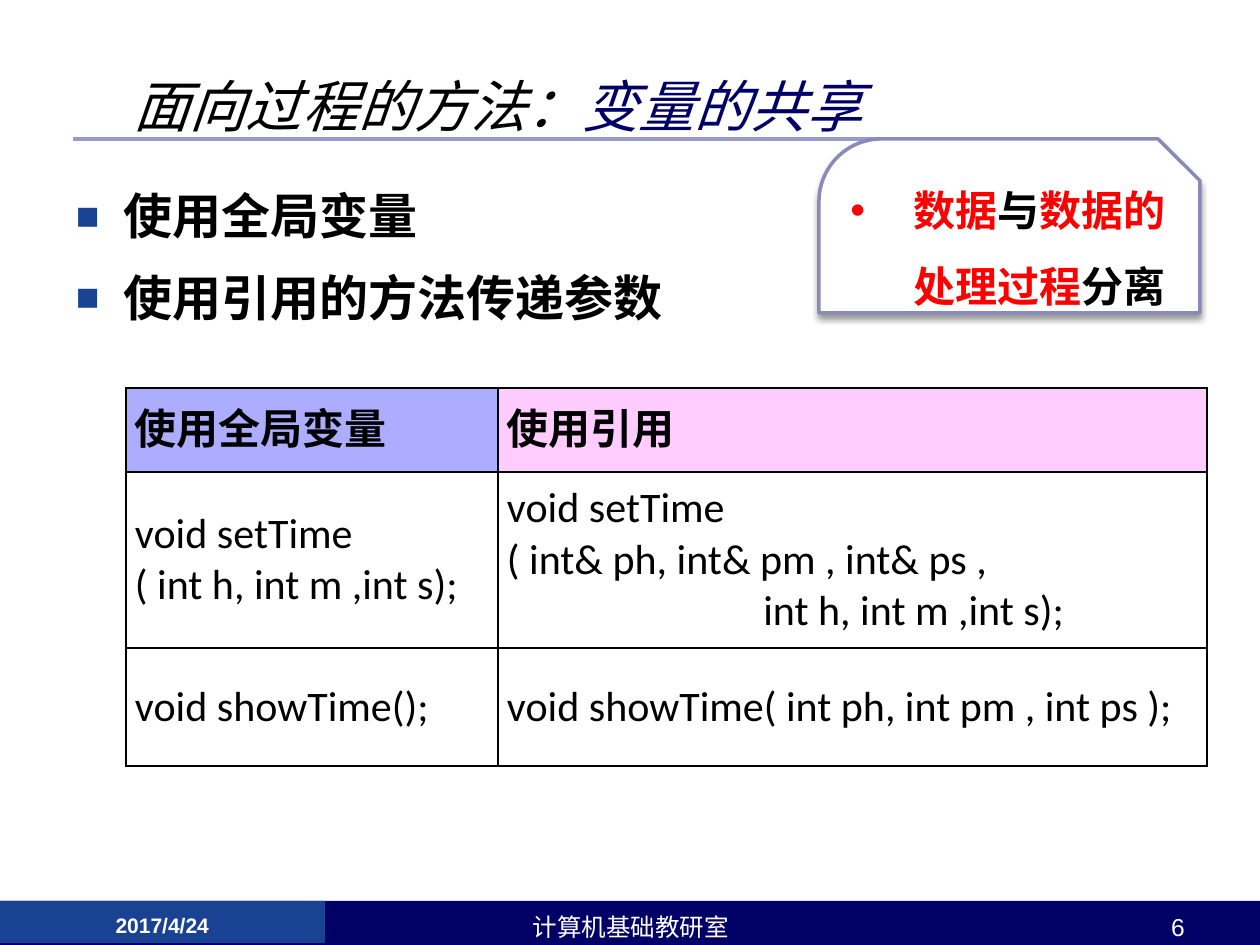
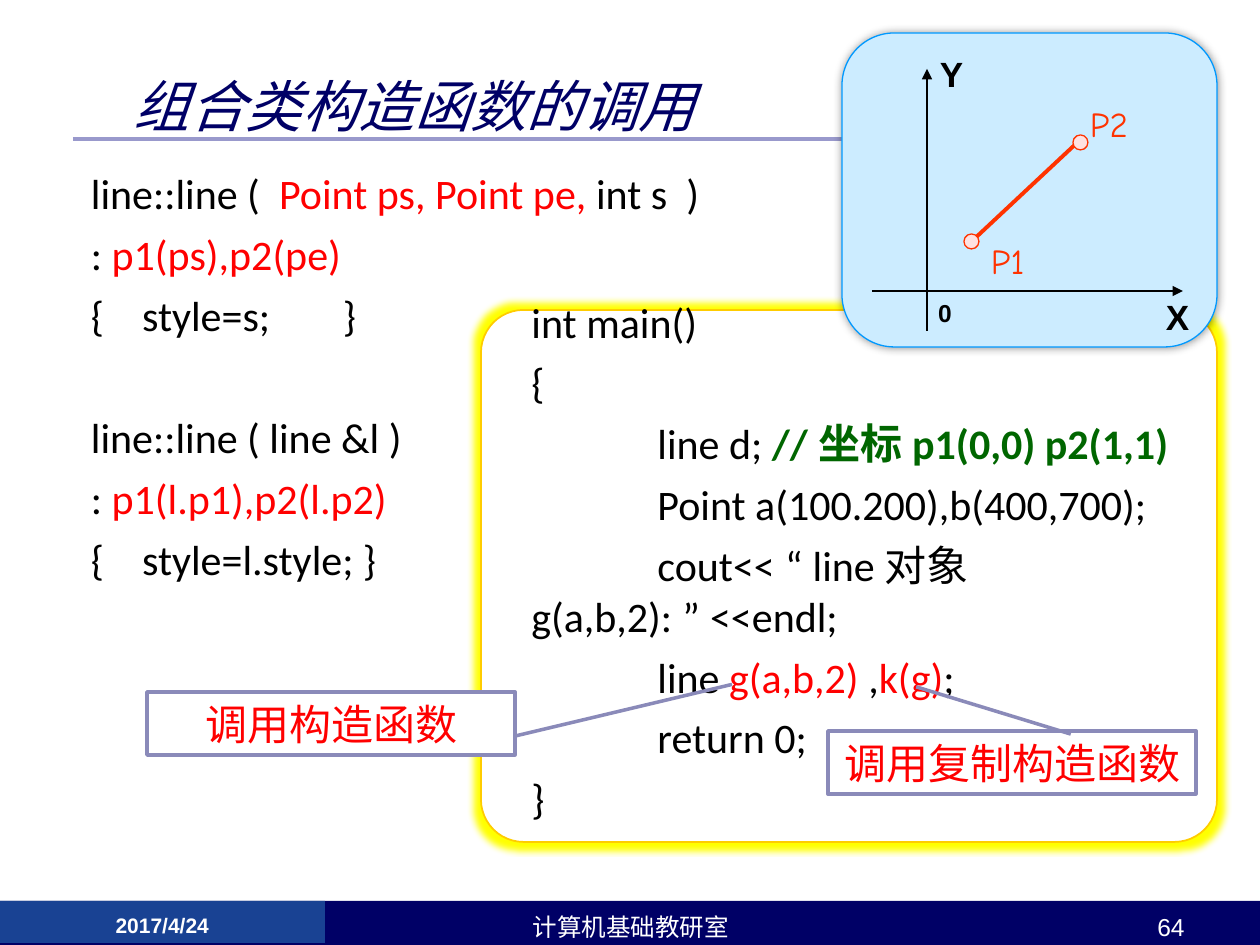
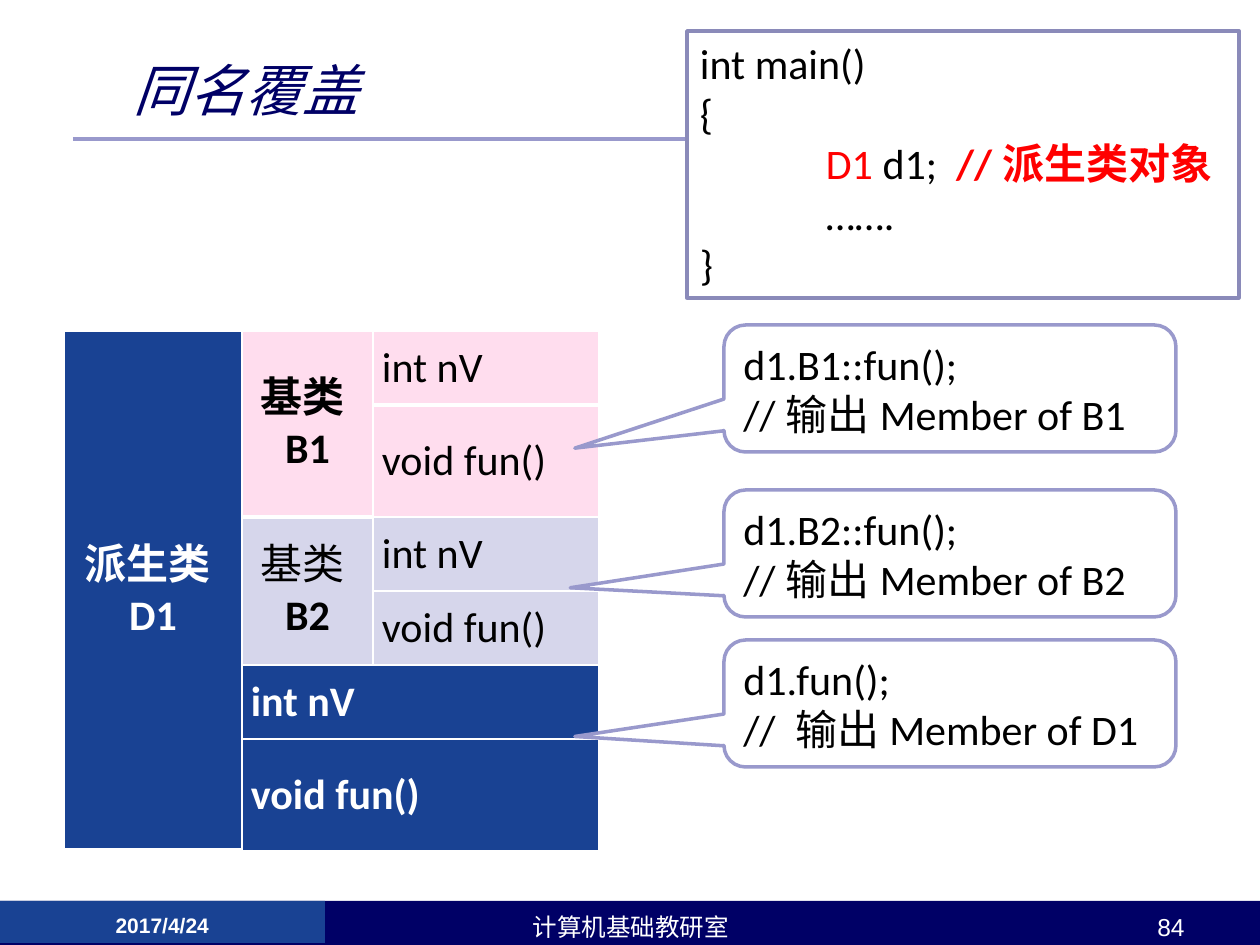
from lxml import etree
from pptx import Presentation
from pptx.dml.color import RGBColor
from pptx.enum.shapes import MSO_CONNECTOR, MSO_SHAPE
from pptx.enum.text import MSO_ANCHOR, PP_ALIGN
from pptx.oxml.ns import qn
from pptx.util import Emu, Pt

LEFT, CENTER, RIGHT = PP_ALIGN.LEFT, PP_ALIGN.CENTER, PP_ALIGN.RIGHT
TOP, MIDDLE, BOTTOM = MSO_ANCHOR.TOP, MSO_ANCHOR.MIDDLE, MSO_ANCHOR.BOTTOM
STRAIGHT = MSO_CONNECTOR.STRAIGHT
RECTANGLE, ROUNDED, OVAL = MSO_SHAPE.RECTANGLE, MSO_SHAPE.ROUNDED_RECTANGLE, MSO_SHAPE.OVAL
SNIP_ROUND, PANEL = MSO_SHAPE.SNIP_ROUND_RECTANGLE, MSO_SHAPE.FLOWCHART_ALTERNATE_PROCESS
LINE_CALLOUT, BUBBLE = MSO_SHAPE.LINE_CALLOUT_1, MSO_SHAPE.ROUNDED_RECTANGULAR_CALLOUT

PX_PER_INCH = 126
EMU_PER_INCH = 914400
BLACK, WHITE, RED, GREEN = "000000", "FFFFFF", "FF0000", "006600"
NAVY, BLUE, LILAC, OUTLINE = "000066", "194293", "9999CC", "8A8AB9"
ORANGE, PINK, PALE_LILAC = "FF3300", "FFDDEE", "D6D6EB"
CODE = {"font": "Calibri", "size": 24}
CHINESE = {"font": "Noto Sans CJK SC", "size": 24}
TITLE = {"font": "Montserrat", "size": 32, "color": NAVY, "italic": True}
FOOTER = {"font": "Arial", "size": 14, "color": WHITE}
AXIS_LABEL = {"font": "Arial", "size": 20, "bold": True}
POINT_LABEL = {"font": "Comic Neue", "size": 20, "color": ORANGE}
INSET = 13
INDENT = 25


def px(length):
    """Turn a length in px into EMU."""
    return Emu(round(length * EMU_PER_INCH / PX_PER_INCH))


def rgb(color):
    """Turn a hex string into a colour."""
    return RGBColor.from_string(color)


def add_node(parent, tag, **attributes):
    """Append a drawing element with the given attributes."""
    node = etree.SubElement(parent, qn(tag))
    for name, value in attributes.items():
        node.set(name, str(value))
    return node


def add_run(paragraph, text, font, size, color=BLACK, bold=False, italic=False):
    """Add one formatted run."""
    run = paragraph.add_run()
    run.text = text
    run.font.name, run.font.size = font, Pt(size)
    run.font.bold, run.font.italic = bold, italic
    run.font.color.rgb = rgb(color)
    properties = run.font._element
    properties.set("lang", "zh-CN")
    properties.find(qn("a:latin")).addnext(
        properties.makeelement(qn("a:ea"), {"typeface": "Calibri"}))


def set_bullet(paragraph, character, hanging, color, size=100):
    """Give a paragraph a hanging bullet."""
    properties = paragraph._p.get_or_add_pPr()
    properties.set("marL", str(px(hanging)))
    properties.set("indent", str(-px(hanging)))
    add_node(add_node(properties, "a:buClr"), "a:srgbClr", val=color)
    add_node(properties, "a:buSzPct", val=size * 1000)
    add_node(properties, "a:buFont", typeface="Arial")
    add_node(properties, "a:buChar", char=character)


def set_tabs(paragraph):
    """Put tab stops at each of the first three inches."""
    tabs = add_node(paragraph._p.get_or_add_pPr(), "a:tabLst")
    for inch in range(1, 4):
        add_node(tabs, "a:tab", pos=inch * EMU_PER_INCH, algn="l")


def write(frame, paragraphs, style, align=LEFT, anchor=TOP, gap=0, spacing=None,
          bullet=None, left=INSET):
    """Fill a text frame; a run is a string or a string with style changes."""
    frame.word_wrap = True
    frame.vertical_anchor = anchor
    frame.margin_left = px(left)
    for index, runs in enumerate(paragraphs):
        paragraph = frame.paragraphs[0] if index == 0 else frame.add_paragraph()
        paragraph.alignment = align
        paragraph.space_before = Pt(gap if index else 0)
        if spacing:
            paragraph.line_spacing = spacing
        if bullet:
            set_bullet(paragraph, *bullet)
        if any("\t" in (run if isinstance(run, str) else run[0]) for run in runs):
            set_tabs(paragraph)
        for run in runs:
            text, changes = (run, {}) if isinstance(run, str) else run
            add_run(paragraph, text, **{**style, **changes})


def add_text(shapes, box, paragraphs, style, **options):
    """Add a text box."""
    frame = shapes.add_textbox(*map(px, box)).text_frame
    write(frame, paragraphs, style, **options)
    return frame


def add_box(shapes, kind, box, fill, line=None, width=2.0, adjustments=()):
    """Add a filled preset shape without shadow."""
    shape = shapes.add_shape(kind, *map(px, box))
    shape.shadow.inherit = False
    shape.fill.solid()
    shape.fill.fore_color.rgb = rgb(fill)
    if line:
        shape.line.color.rgb = rgb(line)
        shape.line.width = Pt(width)
    else:
        shape.line.fill.background()
    for index, value in enumerate(adjustments):
        shape.adjustments[index] = value
    return shape


def add_line(shapes, start, end, color, width, arrow=False):
    """Add a straight line, with an arrowhead at its end if asked."""
    line = shapes.add_connector(STRAIGHT, *map(px, start + end))
    line.line.color.rgb = rgb(color)
    line.line.width = Pt(width)
    if arrow:
        add_node(line.line._get_or_add_ln(), "a:tailEnd", type="triangle")
    add_node(line._element.spPr, "a:effectLst")


def add_effect(shape, tag, color, opacity, **attributes):
    """Add a glow or a shadow to a shape."""
    effects = shape._element.spPr.find(qn("a:effectLst"))
    tint = add_node(add_node(effects, tag, **attributes), "a:srgbClr", val=color)
    add_node(tint, "a:alpha", val=opacity * 1000)


def add_table(shapes, left, top, columns, rows):
    """Add an unstyled table with the given column widths and row heights."""
    table = shapes.add_table(len(rows), len(columns), px(left), px(top),
                             px(sum(columns)), px(sum(rows))).table
    table.first_row = table.horz_banding = False
    for column, width in zip(table.columns, columns):
        column.width = px(width)
    for row, height in zip(table.rows, rows):
        row.height = px(height)
    return table


def format_cell(cell, fill, border, bottom=1):
    """Set insets, borders and fill of a cell."""
    cell.margin_left = cell.margin_right = px(9)
    cell.margin_top = cell.margin_bottom = 0
    cell.vertical_anchor = MIDDLE
    properties = cell._tc.get_or_add_tcPr()
    for tag, width in (("a:lnL", 1), ("a:lnR", 1), ("a:lnT", 1), ("a:lnB", bottom)):
        line = add_node(properties, tag, w=Pt(width))
        add_node(add_node(line, "a:solidFill"), "a:srgbClr", val=border)
    if fill:
        cell.fill.solid()
        cell.fill.fore_color.rgb = rgb(fill)
    else:
        cell.fill.background()


def start_slide(presentation, title, number, title_top=58):
    """Add a slide with its title, rule and footer bands."""
    slide = presentation.slides.add_slide(presentation.slide_layouts[5])
    shapes = slide.shapes
    heading = shapes.title
    heading.left, heading.top, heading.width, heading.height = map(
        px, (121, title_top, 966, 94))
    write(heading.text_frame, [title], TITLE, anchor=MIDDLE)
    add_line(shapes, (73, 139), (1071, 139), LILAC, 2.25)
    add_box(shapes, RECTANGLE, (0, 901, 1260, 44), NAVY)
    add_box(shapes, RECTANGLE, (0, 901, 325, 42), BLUE)
    add_text(shapes, (15, 906, 294, 30), [["2017/4/24"]],
             {**FOOTER, "size": 12, "bold": True}, align=CENTER)
    add_text(shapes, (431, 906, 399, 30), [["计算机基础教研室"]], FOOTER, align=CENTER)
    add_text(shapes, (903, 906, 294, 30), [[str(number)]], FOOTER, align=RIGHT)
    return shapes


def add_comparison_table(shapes, left, top):
    """Compare the functions with global variables and with references."""
    rows = [
        [["使用全局变量"], ["使用引用"]],
        [["void setTime", "( int h, int m ,int s);"],
         ["void setTime", "( int& ph, int& pm , int& ps ,",
          "                           int h, int m ,int s);"]],
        [["void showTime();"], ["void showTime( int ph, int pm , int ps );"]],
    ]
    table = add_table(shapes, left, top, (372, 709), (84, 176, 118))
    for row_index, row in enumerate(rows):
        style = CODE if row_index else {**CHINESE, "bold": True}
        fills = (None, None) if row_index else ("ADADFF", "FFCCFF")
        for column_index, (lines, fill) in enumerate(zip(row, fills)):
            cell = table.cell(row_index, column_index)
            format_cell(cell, fill, BLACK)
            write(cell.text_frame, [[line] for line in lines], style, anchor=MIDDLE, left=9)


def build_sharing_slide(presentation):
    """Build the slide on sharing variables."""
    shapes = start_slide(
        presentation, [("面向过程的方法：", {"color": BLACK}), "变量的共享"], 6)
    add_text(shapes, (63, 168, 1134, 677), [["使用全局变量"], ["使用引用的方法传递参数"]],
             {**CHINESE, "size": 28, "bold": True}, gap=6, spacing=1.2,
             bullet=("■", 48, BLUE, 80))
    add_comparison_table(shapes, 126, 388)
    note = add_box(shapes, SNIP_ROUND, (819, 139, 381, 174), WHITE, OUTLINE,
                   adjustments=(0.36, 0.24))
    add_effect(note, "a:outerShdw", BLACK, 40, blurRad=Pt(4), dist=Pt(3), dir=5400000)
    write(note.text_frame,
          [["数据", ("与", {"color": BLACK}), "数据的处理过程", ("分离", {"color": BLACK})]],
          {**CHINESE, "color": RED, "bold": True}, anchor=MIDDLE, spacing=1.5,
          bullet=("•", 63, RED))


def add_axes(shapes, left, top):
    """Draw the line from P1 to P2 in a coordinate panel."""
    group = shapes.add_group_shape().shapes

    def at(x, y):
        return left + x, top + y

    panel = add_box(group, PANEL, at(0, 0) + (375, 314), "CCECFF", "0099FF", 0.75)
    add_effect(panel, "a:outerShdw", BLACK, 40, blurRad=Pt(5), dist=0, dir=0)
    add_line(group, at(30, 258), at(341, 258), BLACK, 0.75, arrow=True)
    add_line(group, at(85, 298), at(85, 36), BLACK, 0.75, arrow=True)
    add_line(group, at(129, 209), at(238, 107), ORANGE, 2.25)
    for x, y in ((122, 201), (231, 102)):
        add_box(group, OVAL, at(x, y) + (15, 15), "FFE1E1", ORANGE, 0.75)
    labels = (
        ("Y", 85, 13, AXIS_LABEL), ("X", 311, 256, AXIS_LABEL),
        ("0", 83, 259, {**AXIS_LABEL, "size": 14}),
        ("P1", 136, 200, POINT_LABEL), ("P2", 235, 63, POINT_LABEL),
    )
    for text, x, y, style in labels:
        add_text(group, at(x, y) + (70, 50), [[text]], style)


def build_constructor_slide(presentation):
    """Build the slide on constructors of a composed class."""
    shapes = start_slide(presentation, ["组合类构造函数的调用"], 64)
    red, comment = {"color": RED}, {"color": GREEN, "bold": True}
    constructors = add_text(shapes, (53, 161, 1187, 432), [
        ["line::line (  ", ("Point ps, Point pe, ", red), "int s  )"],
        [": ", ("p1(ps),p2(pe)", red)],
        ["{    style=s; \t}"],
        ["line::line ( line &l )"],
        [": ", ("p1(l.p1),p2(l.p2)", red)],
        ["{    style=l.style; }"],
    ], CODE, gap=6, left=INSET + INDENT)
    constructors.paragraphs[3].space_before = Pt(41)
    program = add_box(shapes, ROUNDED, (481, 310, 736, 532), WHITE, "FFCC00", 1, (0.08,))
    add_effect(program, "a:glow", "FFFF00", 100, rad=Pt(8))
    write(program.text_frame, [
        ["int main()"],
        ["{"],
        ["\tline d; ", ("//坐标p1(0,0) p2(1,1)", comment)],
        ["\tPoint a(100.200),b(400,700);"],
        ["\tcout<<“line对象g(a,b,2):”<<endl;"],
        ["\tline ", ("g(a,b,2)", red), " ,", ("k(g)", red), ";"],
        ["\treturn 0;"],
        ["}"],
    ], CODE, anchor=BOTTOM, gap=6, left=INSET + INDENT)
    add_axes(shapes, 842, 33)
    callouts = (
        ("调用复制构造函数", 828, 731, (0.05, 0.66, -0.7, 0.24)),
        ("调用构造函数", 147, 692, (0.7, 1, -0.12, 1.59)),
    )
    for text, left, top, adjustments in callouts:
        callout = add_box(shapes, LINE_CALLOUT, (left, top, 368, 63), WHITE, OUTLINE,
                          adjustments=adjustments)
        write(callout.text_frame, [[text]], {**CHINESE, "color": RED},
              align=CENTER, anchor=MIDDLE)


def add_class_table(shapes, left, top):
    """Show the members of the derived class and its two base classes."""
    table = add_table(shapes, left, top, (178, 131, 226), (74, 112, 74, 74, 74, 112))
    bold = {"bold": True}
    header = {"color": WHITE, "bold": True}
    cells = (
        (0, 0, 6, 1, BLUE, 3, [("派生类D1", header)]),
        (0, 1, 2, 1, PINK, 3, [("基类B1", bold)]),
        (2, 1, 2, 1, PALE_LILAC, 1, ["基类", ("B2", bold)]),
        (0, 2, 1, 1, PINK, 3, ["int nV"]),
        (1, 2, 1, 1, PINK, 1, ["void fun()"]),
        (2, 2, 1, 1, PALE_LILAC, 1, ["int nV"]),
        (3, 2, 1, 1, PALE_LILAC, 1, ["void fun()"]),
        (4, 1, 1, 2, BLUE, 1, [("int nV", header)]),
        (5, 1, 1, 2, BLUE, 1, [("void fun()", header)]),
    )
    for row, column, row_span, column_span, fill, bottom, runs in cells:
        cell = table.cell(row, column)
        last_row, last_column = row + row_span - 1, column + column_span - 1
        if (last_row, last_column) != (row, column):
            cell.merge(table.cell(last_row, last_column))
        format_cell(cell, fill, WHITE, bottom)
        is_member = last_column == 2
        write(cell.text_frame, [runs], CODE, align=LEFT if is_member else CENTER,
              anchor=MIDDLE, left=9 + INDENT if is_member else 9)


def build_override_slide(presentation):
    """Build the slide on members of the same name."""
    shapes = start_slide(presentation, ["同名覆盖"], 84, title_top=42)
    add_class_table(shapes, 64, 331)
    program = add_box(shapes, RECTANGLE, (687, 31, 552, 267), WHITE, OUTLINE)
    write(program.text_frame, [
        ["int main()"],
        ["{"],
        ["\t", ("D1 ", {"color": RED}), "d1;  ", ("//派生类对象", {"color": RED, "bold": True})],
        ["\t……."],
        ["}"],
    ], CODE)
    calls = (
        ("d1.B1::fun();", "//输出Member of B1", 325, (-0.83, 0.47)),
        ("d1.B2::fun();", "//输出Member of B2", 490, (-0.84, 0.27)),
        ("d1.fun();", "// 输出Member of D1", 640, (-0.83, 0.26)),
    )
    for call, output, top, tip in calls:
        bubble = add_box(shapes, BUBBLE, (724, top, 452, 127), WHITE, LILAC,
                         adjustments=tip + (0.17,))
        write(bubble.text_frame, [[call], [output]], CODE, anchor=MIDDLE)


def main():
    """Build and save the presentation."""
    presentation = Presentation()
    presentation.slide_width, presentation.slide_height = px(1260), px(945)
    build_sharing_slide(presentation)
    build_constructor_slide(presentation)
    build_override_slide(presentation)
    presentation.save("out.pptx")


if __name__ == "__main__":
    main()
